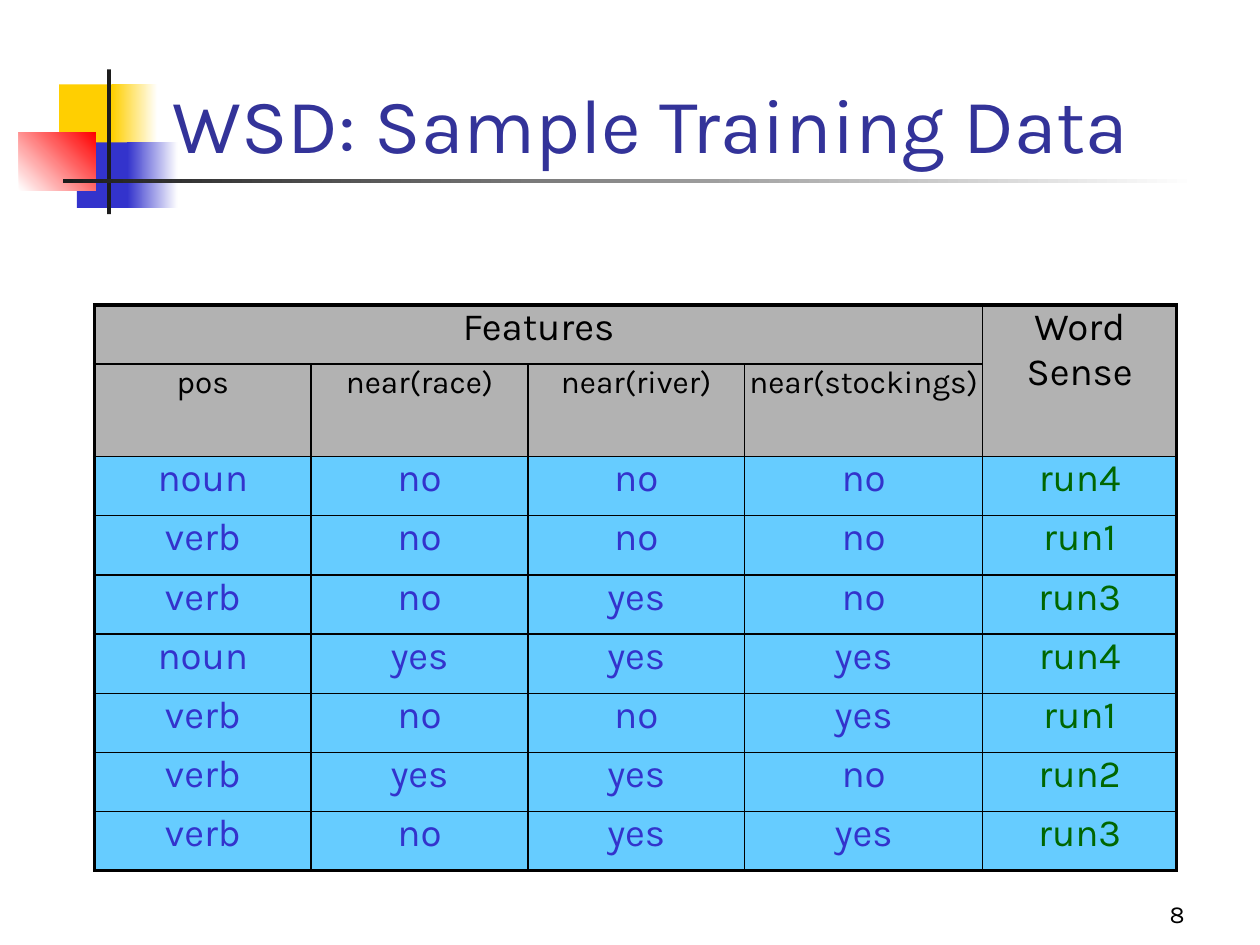
"""Build the slide "WSD: Sample Training Data" with its feature table."""
from lxml import etree
from pptx import Presentation
from pptx.dml.color import RGBColor
from pptx.enum.shapes import MSO_SHAPE
from pptx.enum.text import MSO_ANCHOR, PP_ALIGN
from pptx.oxml.ns import qn
from pptx.util import Inches, Pt

RECTANGLE = MSO_SHAPE.RECTANGLE
BOTTOM = MSO_ANCHOR.BOTTOM
LEFT, CENTER, RIGHT = PP_ALIGN.LEFT, PP_ALIGN.CENTER, PP_ALIGN.RIGHT

THEME = {
    "font": "Karla",
    "title": {"size": 44, "color": "333399"},
    "number": {"size": 14, "color": "000000"},
    "heading": {"size": 22, "color": "000000"},
    "feature": {"size": 18, "color": "000000"},
    "value": {"size": 22, "color": "3333CC"},
    "sense": {"size": 22, "color": "006600"},
    "yellow": "FFCF01",
    "blue": "3333CC",
    "red": "FF0000",
    "dark": "1C1C1C",
    "white": "FFFFFF",
    "header_fill": "B2B2B2",
    "body_fill": "66CCFF",
    "border": "000000",
    "thin": 1,
    "thick": 2.25,
}


def write_text(frame, text, style, alignment):
    paragraph = frame.paragraphs[0]
    paragraph.text = text
    paragraph.alignment = alignment
    values = {"name": THEME["font"], "size": Pt(THEME[style]["size"])}
    for name, value in values.items():
        setattr(paragraph.font, name, value)
    paragraph.font.color.rgb = RGBColor.from_string(THEME[style]["color"])


def add_border(cell, side, width):
    line = etree.SubElement(cell._tc.get_or_add_tcPr(), qn(f"a:ln{side}"), w=str(Pt(width)))
    fill = etree.SubElement(line, qn("a:solidFill"))
    etree.SubElement(fill, qn("a:srgbClr"), val=THEME["border"])


presentation = Presentation()
presentation.slide_width = Inches(10)
presentation.slide_height = Inches(7.5)
slide = presentation.slides.add_slide(presentation.slide_layouts[6])

decorations = [
    ((0.47, 0.67, 0.48, 0.52), ["yellow"], 0),
    ((0.89, 0.67, 0.36, 0.52), ["yellow", "white"], 0),
    ((0.61, 1.13, 0.46, 0.52), ["blue"], 0),
    ((1.01, 1.13, 0.4, 0.52), ["blue", "white"], 0),
    ((0.15, 1.05, 0.61, 0.46), ["white", "red"], 45),
    ((0.85, 0.55, 0.03, 1.15), ["dark"], 0),
    ((0.5, 1.42, 9, 0.03), ["dark", "white"], 0),
]
for box, colors, angle in decorations:
    shape = slide.shapes.add_shape(RECTANGLE, *map(Inches, box))
    shape.shadow.inherit = False
    shape.line.fill.background()
    if len(colors) == 1:
        shape.fill.solid()
        shape.fill.fore_color.rgb = RGBColor.from_string(THEME[colors[0]])
    else:
        shape.fill.gradient()
        shape.fill.gradient_angle = angle
        for stop, color in zip(shape.fill.gradient_stops, colors):
            stop.color.rgb = RGBColor.from_string(THEME[color])

text_boxes = [
    ((7.42, 6.92, 2.08, 0.5), "8", "number", RIGHT),
    ((1.27, 0.14, 8.52, 1.25), "WSD: Sample Training Data", "title", LEFT),
]
for box, text, style, alignment in text_boxes:
    frame = slide.shapes.add_textbox(*map(Inches, box)).text_frame
    frame.word_wrap = True
    frame.vertical_anchor = BOTTOM
    write_text(frame, text, style, alignment)

rows = [
    ["Features", "", "", "", "Word Sense"],
    ["pos", "near(race)", "near(river)", "near(stockings)", ""],
    ["noun", "no", "no", "no", "run4"],
    ["verb", "no", "no", "no", "run1"],
    ["verb", "no", "yes", "no", "run3"],
    ["noun", "yes", "yes", "yes", "run4"],
    ["verb", "no", "no", "yes", "run1"],
    ["verb", "yes", "yes", "no", "run2"],
    ["verb", "no", "yes", "yes", "run3"],
]
column_widths = [1.72, 1.72, 1.72, 1.89, 1.54]
row_heights = [0.47, 0.5] + [0.47] * 7
last_row, last_column = len(rows) - 1, len(column_widths) - 1

table_box = map(Inches, (0.75, 2.42, 8.58, 4.29))
table = slide.shapes.add_table(len(rows), len(column_widths), *table_box).table
table.first_row = False
table.horz_banding = False
for column, width in zip(table.columns, column_widths):
    column.width = Inches(width)
for row, height in zip(table.rows, row_heights):
    row.height = Inches(height)
table.cell(0, 0).merge(table.cell(0, 3))
table.cell(0, 4).merge(table.cell(1, 4))

cell_margins = dict.fromkeys(("margin_left", "margin_top", "margin_right", "margin_bottom"), 0)
for row_index, row in enumerate(rows):
    for column_index, text in enumerate(row):
        cell = table.cell(row_index, column_index)
        for name, value in cell_margins.items():
            setattr(cell, name, value)
        outer_sides = {
            "L": column_index == 0,
            "R": column_index == last_column,
            "T": row_index == 0,
            "B": row_index == last_row,
        }
        for side, is_outer in outer_sides.items():
            add_border(cell, side, THEME["thick" if is_outer else "thin"])
        cell.fill.solid()
        fill_name = "header_fill" if row_index < 2 else "body_fill"
        cell.fill.fore_color.rgb = RGBColor.from_string(THEME[fill_name])
        if text:
            body_style = "sense" if column_index == last_column else "value"
            style = {0: "heading", 1: "feature"}.get(row_index, body_style)
            write_text(cell.text_frame, text, style, CENTER)

presentation.save("out.pptx")
